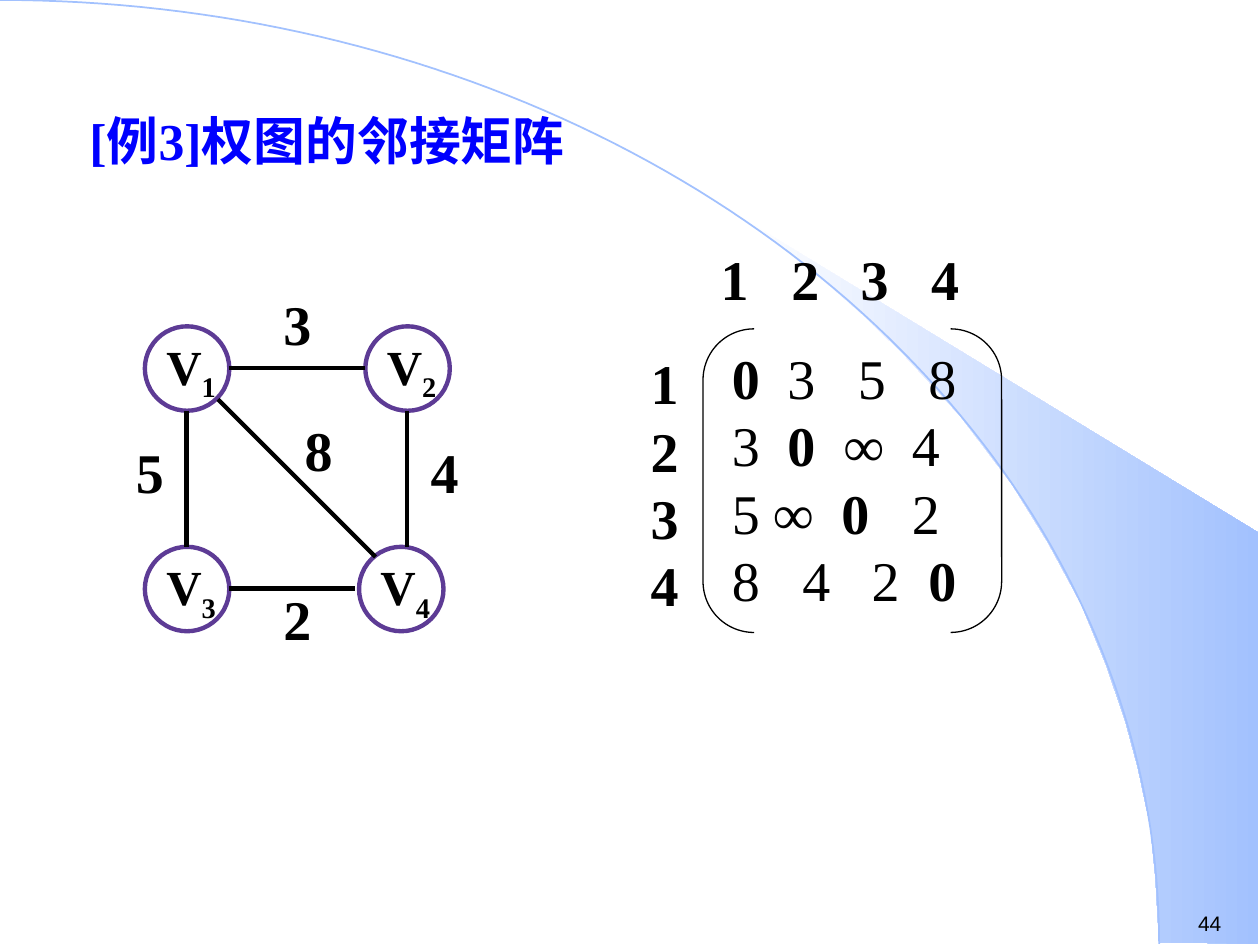
from math import cos, pi, sin

from lxml.etree import SubElement
from pptx import Presentation
from pptx.dml.color import RGBColor
from pptx.enum.shapes import MSO_CONNECTOR, MSO_SHAPE
from pptx.enum.text import MSO_ANCHOR, PP_ALIGN
from pptx.oxml.ns import qn
from pptx.util import Inches, Pt

SERIF = "Times New Roman"


def color(value):
    """Return the colour for a hex string."""
    return RGBColor.from_string(value)


def set_frame(shape, horizontal=0, vertical=0):
    """Give a shape a wrapping, top-anchored text frame with the given insets."""
    frame = shape.text_frame
    frame.word_wrap = True
    frame.vertical_anchor = MSO_ANCHOR.TOP
    frame.margin_left = frame.margin_right = Inches(horizontal)
    frame.margin_top = frame.margin_bottom = Inches(vertical)
    return frame


def format_run(run, size, bold=True, ink="000000", name=SERIF):
    """Set the font of a run."""
    run.font.size = Pt(size)
    run.font.bold = bold
    run.font.name = name
    run.font.color.rgb = color(ink)


def add_text(slide, box, text, size, insets=(0, 0), alignment=PP_ALIGN.LEFT, **font):
    """Add a text box with one paragraph for each line of the text."""
    shape = slide.shapes.add_textbox(*map(Inches, box))
    frame = set_frame(shape, *insets)
    frame.text = text
    for paragraph in frame.paragraphs:
        paragraph.alignment = alignment
        for run in paragraph.runs:
            format_run(run, size, **font)
    return frame


def set_tabs(paragraph, stops):
    """Give a paragraph left tab stops, in inches."""
    tab_list = SubElement(paragraph._p.get_or_add_pPr(), qn("a:tabLst"))
    for stop in stops:
        SubElement(tab_list, qn("a:tab"), pos=str(Inches(stop)), algn="l")


def add_outline(slide, points, close):
    """Add a freeform through points given in inches."""
    start, *others = [(Inches(x), Inches(y)) for x, y in points]
    builder = slide.shapes.build_freeform(*start)
    builder.add_line_segments(others, close=close)
    shape = builder.convert_to_shape()
    shape.shadow.inherit = False
    return shape


def add_backdrop(slide, box):
    """Draw the shaded corner and the quarter-ellipse within the box."""
    left, top, width, height = box
    edge = [(9.2, 7.48), (9.99, 7.49), (9.99, 4.23), (5.89, 1.73), (6.24, 1.99),
            (6.53, 2.22), (6.85, 2.5), (7.16, 2.8), (7.62, 3.3), (8.03, 3.84),
            (8.32, 4.31), (8.58, 4.79), (8.78, 5.28), (8.93, 5.72), (9.03, 6.09),
            (9.13, 6.56), (9.17, 6.96)]
    corner = add_outline(slide, [(left + x, top + y) for x, y in edge], True)
    corner.fill.gradient()
    corner.fill.gradient_angle = 0
    for stop, position, tint in zip(corner.fill.gradient_stops, (0, 1), ("FFFFFF", "A2C1FE")):
        stop.position = position
        stop.color.rgb = color(tint)
    corner.line.fill.background()

    steps = 90
    angles = [pi / 2 * step / steps for step in range(steps + 1)]
    arc = add_outline(slide, [(left + width * sin(angle), top + height * (1 - cos(angle)))
                              for angle in angles], False)
    arc.fill.background()
    arc.line.color.rgb = color("A2C1FE")
    arc.line.width = Pt(1)


def add_title(slide, box):
    """Write the example heading."""
    frame = add_text(slide, box, "[例3]权图的邻接矩阵", 29.6, (0.2, 0.05), ink="0000FF")
    frame.paragraphs[0].line_spacing = 0.8


def add_matrix(slide, box):
    """Write the bracketed adjacency matrix with its row and column numbers."""
    left, top, width, height = box
    numbers = ["1", "2", "3", "4"]
    add_text(slide, (left - 0.58, top + 0.16, 0.55, 2.3), "\n".join(numbers), 32,
             alignment=PP_ALIGN.CENTER)
    bracket = slide.shapes.add_shape(MSO_SHAPE.DOUBLE_BRACKET, *map(Inches, box))
    bracket.adjustments[0] = 0.171
    bracket.shadow.inherit = False
    bracket.fill.background()
    bracket.line.color.rgb = color("000000")
    bracket.line.width = Pt(0.75)
    frame = set_frame(bracket)
    frame.margin_left = Inches(0.11)
    rows = [("0358", (0.44, 1, 1.56)), ("30∞4", (0.44, 0.89, 1.43)),
            ("5∞02", (0.33, 0.87, 1.43)), ("8420", (0.56, 1.11, 1.56))]
    for index, (values, stops) in enumerate(rows):
        paragraph = frame.add_paragraph() if index else frame.paragraphs[0]
        paragraph.alignment = PP_ALIGN.LEFT
        set_tabs(paragraph, stops)
        for column, value in enumerate(values):
            run = paragraph.add_run()
            run.text = "\t" + value if column else value
            format_run(run, 32, bold=value in "0∞")
    header = add_text(slide, (left + 0.14, top - 0.67, 2.08, 0.69), "\t".join(numbers), 32)
    set_tabs(header.paragraphs[0], (0.56, 1.11, 1.67))


def add_vertex(slide, box, number):
    """Draw one vertex circle and its subscripted name."""
    left, top, width, height = box
    frame = add_text(slide, (left + 0.17, top + 0.08, 0.5, 0.59), "V", 28)
    subscript = frame.paragraphs[0].add_run()
    subscript.text = number
    format_run(subscript, 28)
    subscript.font._element.set("baseline", "-25000")
    circle = slide.shapes.add_shape(MSO_SHAPE.OVAL, *map(Inches, box))
    circle.shadow.inherit = False
    circle.fill.background()
    circle.line.color.rgb = color("5D3B95")
    circle.line.width = Pt(2.5)


def add_graph(slide, box):
    """Draw the weighted graph: vertices, edges and weights."""
    left, top, width, height = box
    size = 0.67
    vertices = [("1", 0.17, 0.34), ("4", 1.87, 2.09), ("3", 0.17, 2.09), ("2", 1.92, 0.34)]
    for number, x, y in vertices:
        add_vertex(slide, (left + x, top + y, size, size), number)
    edges = [("3", (0.84, 0.67, 1.92, 0.67), (1.17, 0)),
             ("4", (2.25, 1.01, 2.25, 2.09), (2.34, 1.17)),
             ("2", (0.84, 2.42, 1.84, 2.42), (1.17, 2.34)),
             ("5", (0.5, 1.01, 0.5, 2.09), (0, 1.17)),
             ("8", (0.75, 0.92, 2, 2.17), (1.34, 1))]
    for weight, (x1, y1, x2, y2), (x, y) in edges:
        ends = (left + x1, top + y1, left + x2, top + y2)
        edge = slide.shapes.add_connector(MSO_CONNECTOR.STRAIGHT, *map(Inches, ends))
        edge.line.color.rgb = color("000000")
        edge.line.width = Pt(2.5)
        SubElement(edge._element.spPr, qn("a:effectLst"))
        add_text(slide, (left + x, top + y, 0.42, 0.64), weight, 32, (0.1, 0.05))


def main():
    """Build the slide and save it."""
    presentation = Presentation()
    presentation.slide_width, presentation.slide_height = Inches(10), Inches(7.5)
    slide = presentation.slides.add_slide(presentation.slide_layouts[6])
    add_backdrop(slide, (0, 0, 9.2, 7.49))
    add_text(slide, (9.41, 7.18, 0.59, 0.3), "44", 12, (0.1, 0.05), bold=False, name="Arial")
    add_title(slide, (0.51, 0.91, 4.53, 0.55))
    add_matrix(slide, (5.58, 2.61, 2.37, 2.41))
    add_graph(slide, (0.98, 2.25, 2.76, 2.98))
    presentation.save("out.pptx")


if __name__ == "__main__":
    main()
